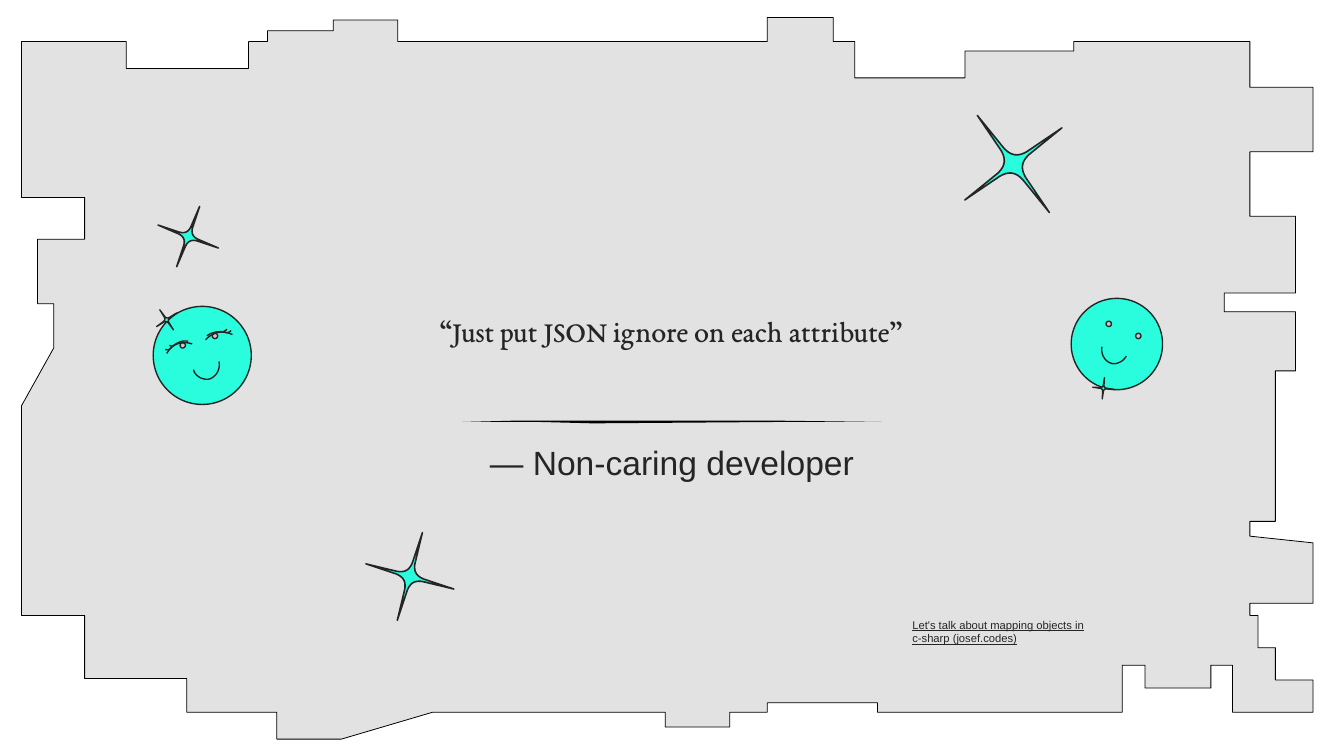
from math import cos, radians, sin

from pptx import Presentation
from pptx.dml.color import RGBColor
from pptx.enum.shapes import MSO_SHAPE as Shape
from pptx.enum.text import MSO_ANCHOR as Anchor, MSO_AUTO_SIZE as AutoSize, PP_ALIGN as Align
from pptx.util import Inches, Pt

INK = RGBColor(0x25, 0x25, 0x25)
BLACK = RGBColor(0x00, 0x00, 0x00)
GREY = RGBColor(0xE2, 0xE2, 0xE2)
AQUA = RGBColor(0x29, 0xFD, 0xDE)
EYE = RGBColor(0xCA, 0xC6, 0xCB)

prs = Presentation()
prs.slide_width = Inches(10)
prs.slide_height = prs.slide_width * 9 // 16
slide = prs.slides.add_slide(prs.slide_layouts[0])


def trace(points, fill=None, line=INK, weight=0.75):
    """Draw points given in inches: closed when filled, otherwise an open stroke."""
    spots = [(Inches(x), Inches(y)) for x, y in points]
    builder = slide.shapes.build_freeform(*spots[0], scale=1.0)
    builder.add_line_segments(spots[1:], close=fill is not None)
    outline = builder.convert_to_shape()
    outline.shadow.inherit = False
    if fill is None:
        outline.fill.background()
    else:
        outline.fill.solid()
        outline.fill.fore_color.rgb = fill
    if line is None:
        outline.line.fill.background()
    else:
        outline.line.color.rgb = line
        outline.line.width = Pt(weight)
    return outline


def bezier(points, steps=12):
    """Sample a chain of cubic curves that share their end points."""
    samples = [points[0]]
    for start in range(0, len(points) - 1, 3):
        curve = points[start:start + 4]
        for step in range(1, steps + 1):
            t = step / steps
            weights = ((1 - t) ** 3, 3 * t * (1 - t) ** 2, 3 * t * t * (1 - t), t ** 3)
            samples.append(tuple(sum(w * p[axis] for w, p in zip(weights, curve))
                                 for axis in (0, 1)))
    return samples


# Jagged backdrop, placed behind the placeholders
backdrop = trace([
    (5.71, 0.13), (5.71, 0.31), (2.96, 0.31), (2.96, 0.15), (2.48, 0.15), (2.48, 0.23),
    (1.99, 0.23), (1.99, 0.31), (1.85, 0.31), (1.85, 0.51), (0.94, 0.51), (0.94, 0.31),
    (0.16, 0.31), (0.16, 1.47), (0.63, 1.47), (0.63, 1.78), (0.28, 1.78), (0.28, 2.26),
    (0.4, 2.26), (0.4, 2.59), (0.16, 3.02), (0.16, 4.58), (0.63, 4.58), (0.63, 5.05),
    (1.39, 5.05), (1.39, 5.3), (2.06, 5.3), (2.06, 5.5), (2.54, 5.5), (3.22, 5.3),
    (4.95, 5.3), (4.95, 5.41), (5.43, 5.41), (5.43, 5.3), (5.71, 5.3), (5.71, 5.23),
    (6.53, 5.23), (6.53, 5.3), (8.35, 5.3), (8.35, 4.95), (8.52, 4.95), (8.52, 5.12),
    (9.01, 5.12), (9.01, 4.95), (9.17, 4.95), (9.17, 5.3), (9.77, 5.3), (9.77, 5.06),
    (9.49, 5.06), (9.49, 4.82), (9.36, 4.82), (9.36, 4.58), (9.3, 4.58), (9.3, 4.49),
    (9.77, 4.49), (9.77, 4.04), (9.3, 3.99), (9.3, 3.88), (9.49, 3.88), (9.49, 2.76),
    (9.64, 2.76), (9.64, 2.32), (9.11, 2.32), (9.11, 2.18), (9.64, 2.18), (9.64, 1.61),
    (9.3, 1.61), (9.3, 1.13), (9.77, 1.13), (9.77, 0.65), (9.3, 0.65), (9.3, 0.31),
    (7.99, 0.31), (7.99, 0.38), (7.18, 0.38), (7.18, 0.58), (6.36, 0.58), (6.36, 0.31),
    (6.2, 0.31), (6.2, 0.13),
], GREY, BLACK, 0.43)
slide.shapes._spTree.insert(2, backdrop._element)

# Quote and attribution
attribution = slide.shapes.title
quote = slide.placeholders[1]
for holder, text, box, font_name, size, after in (
    (attribution, "— Non-caring developer", (3.31, 3.13, 3.38, 0.61), "Arial", 18, 0),
    (quote, "“Just put JSON ignore on each attribute”", (3.04, 1.65, 3.91, 1.62),
     "EB Garamond", 16, 12),
):
    holder.left, holder.top, holder.width, holder.height = map(Inches, box)
    frame = holder.text_frame
    frame.text = text
    frame.word_wrap = True
    frame.auto_size = AutoSize.NONE
    frame.vertical_anchor = Anchor.MIDDLE
    frame.margin_left = frame.margin_right = Inches(0.1)
    frame.margin_top = frame.margin_bottom = Inches(0.1)
    paragraph = frame.paragraphs[0]
    paragraph.alignment = Align.CENTER
    paragraph.space_before, paragraph.space_after = Pt(0), Pt(after)
    paragraph.font.name, paragraph.font.size = font_name, Pt(size)
    paragraph.font.color.rgb = INK

# Tapered divider
trace([(3.44, 3.14), (3.83, 3.13), (4.41, 3.13), (5.78, 3.13), (6.56, 3.14),
       (5.78, 3.14), (4.41, 3.15), (4.02, 3.14)], BLACK, None)

# Round heads and eyes: left, top, diameter, fill
for left, top, diameter, color in (
    (7.97, 2.22, 0.68, AQUA), (8.45, 2.48, 0.04, EYE), (8.23, 2.39, 0.04, EYE),
    (1.14, 2.28, 0.73, AQUA), (1.58, 2.48, 0.04, EYE), (1.34, 2.55, 0.04, EYE),
):
    disc = slide.shapes.add_shape(Shape.OVAL, Inches(left), Inches(top),
                                  Inches(diameter), Inches(diameter))
    disc.shadow.inherit = False
    disc.fill.solid()
    disc.fill.fore_color.rgb = color
    disc.line.color.rgb = INK
    disc.line.width = Pt(0.75)

# Smiles, then brows and lashes
for stroke in (
    [(8.2, 2.58), (8.19, 2.62), (8.21, 2.68), (8.26, 2.7), (8.3, 2.72), (8.36, 2.69), (8.38, 2.65)],
    [(1.44, 2.75), (1.45, 2.8), (1.51, 2.83), (1.56, 2.82), (1.61, 2.8), (1.64, 2.75), (1.63, 2.69)],
    [(1.53, 2.53), (1.53, 2.53), (1.61, 2.43), (1.73, 2.49)],
    [(1.54, 2.5), (1.54, 2.5), (1.58, 2.46), (1.67, 2.47), (1.68, 2.48), (1.7, 2.48), (1.72, 2.46)],
    [(1.69, 2.45), (1.69, 2.45), (1.67, 2.47), (1.65, 2.47)],
    [(1.43, 2.56), (1.43, 2.56), (1.31, 2.51), (1.24, 2.63)],
    [(1.4, 2.54), (1.4, 2.54), (1.35, 2.52), (1.28, 2.58), (1.27, 2.59), (1.26, 2.61), (1.23, 2.6)],
    [(1.26, 2.57), (1.26, 2.57), (1.28, 2.58), (1.29, 2.57)],
):
    trace(bezier(stroke))

# Four-armed sparkles: centre x, centre y, arm length, angle, line weight
quarter = [(1, 0)] + bezier([(0.3, 0.03), (0.13, 0.05), (0.05, 0.13), (0.03, 0.3)])
for x, y, arm, angle, weight in (
    (7.54, 1.22, 0.45, 53.4, 0.86), (1.4, 1.76, 0.24, 20.9, 0.86),
    (3.05, 4.29, 0.34, 16, 0.86),
    (8.21, 2.89, 0.08, 5.7, 0.75), (1.24, 2.38, 0.09, 55.7, 0.75),
):
    sparkle = []
    for turn in range(4):
        a = radians(angle + 90 * turn)
        sparkle += [(x + arm * (u * cos(a) - v * sin(a)), y + arm * (u * sin(a) + v * cos(a)))
                    for u, v in quarter]
    trace(sparkle, AQUA, INK, weight)

# Source credit
credit = slide.shapes.add_textbox(Inches(6.69), Inches(4.55), Inches(1.5), Inches(0.4)).text_frame
credit.word_wrap = True
credit.auto_size = AutoSize.SHAPE_TO_FIT_TEXT
credit.text = "Let's talk about mapping objects in c-sharp (josef.codes)"
credit_font = credit.paragraphs[0].font
credit_font.name, credit_font.size = "Arial", Pt(6)
credit_font.underline = True
credit_font.color.rgb = INK

prs.save("out.pptx")
